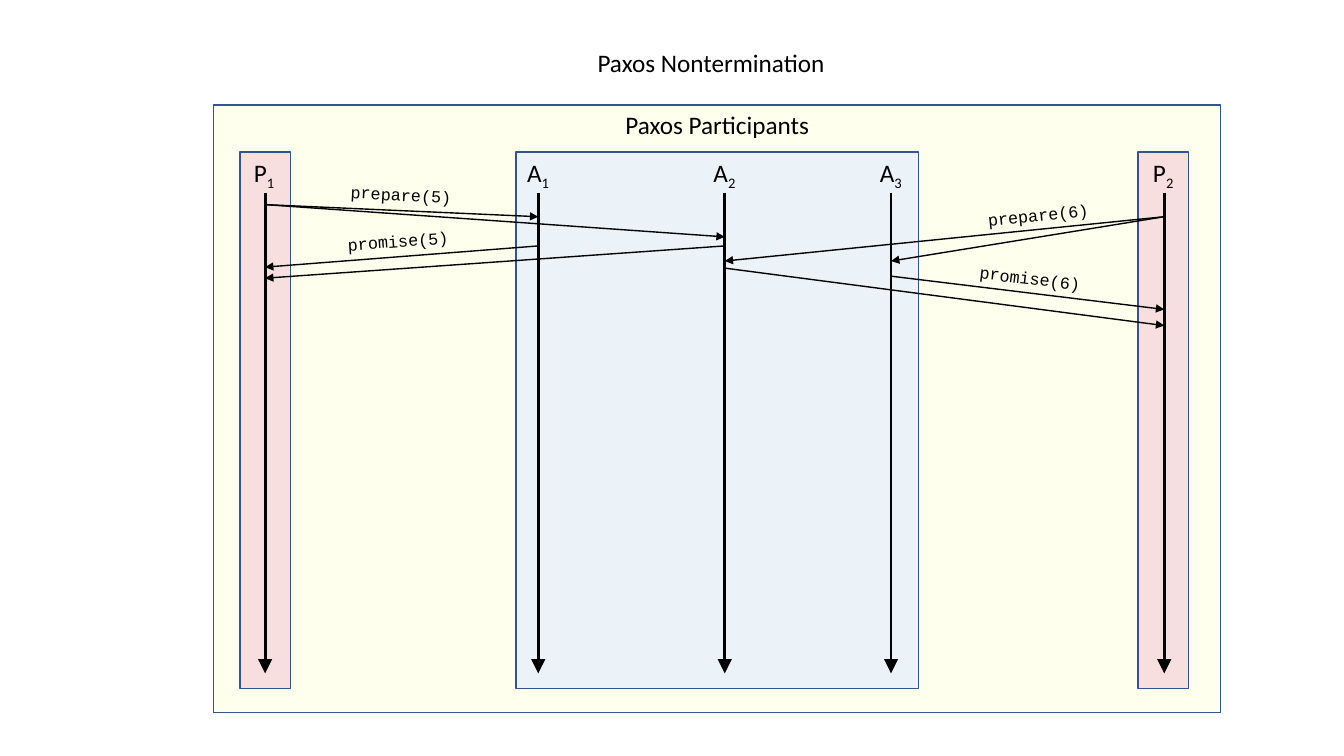
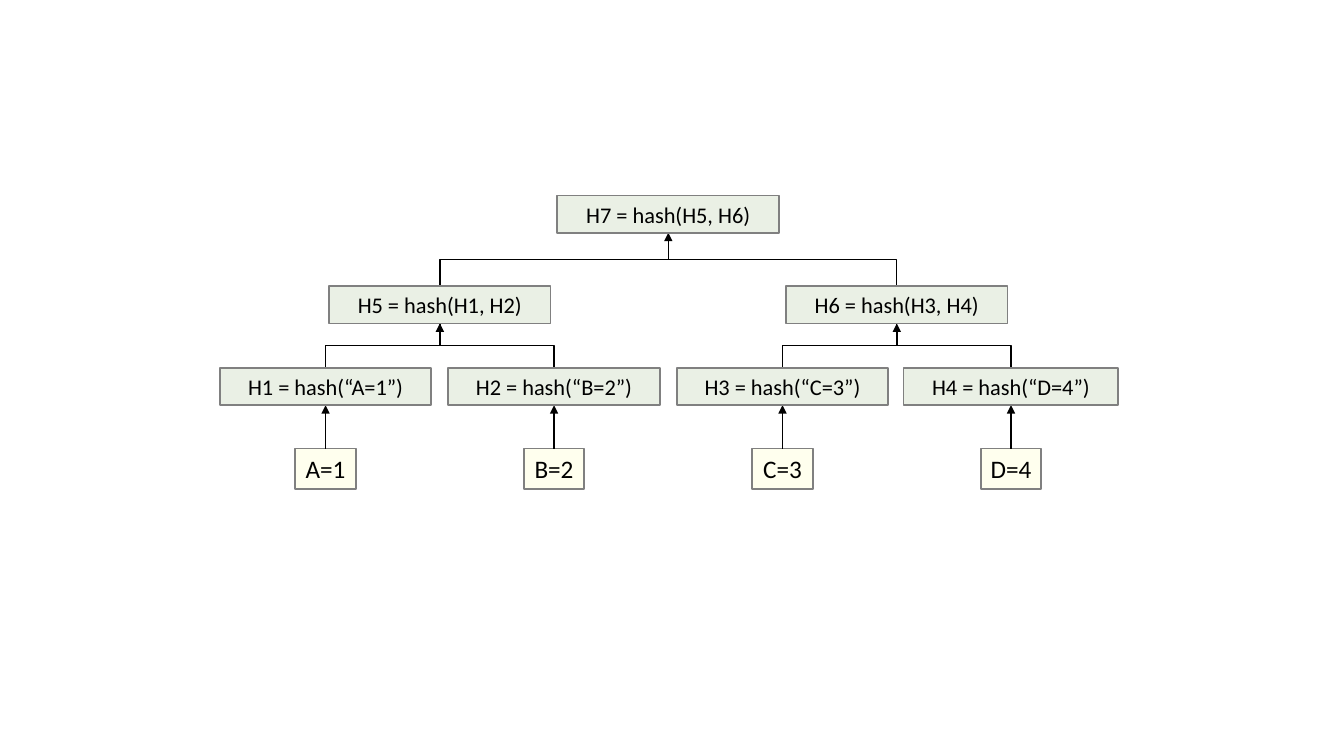
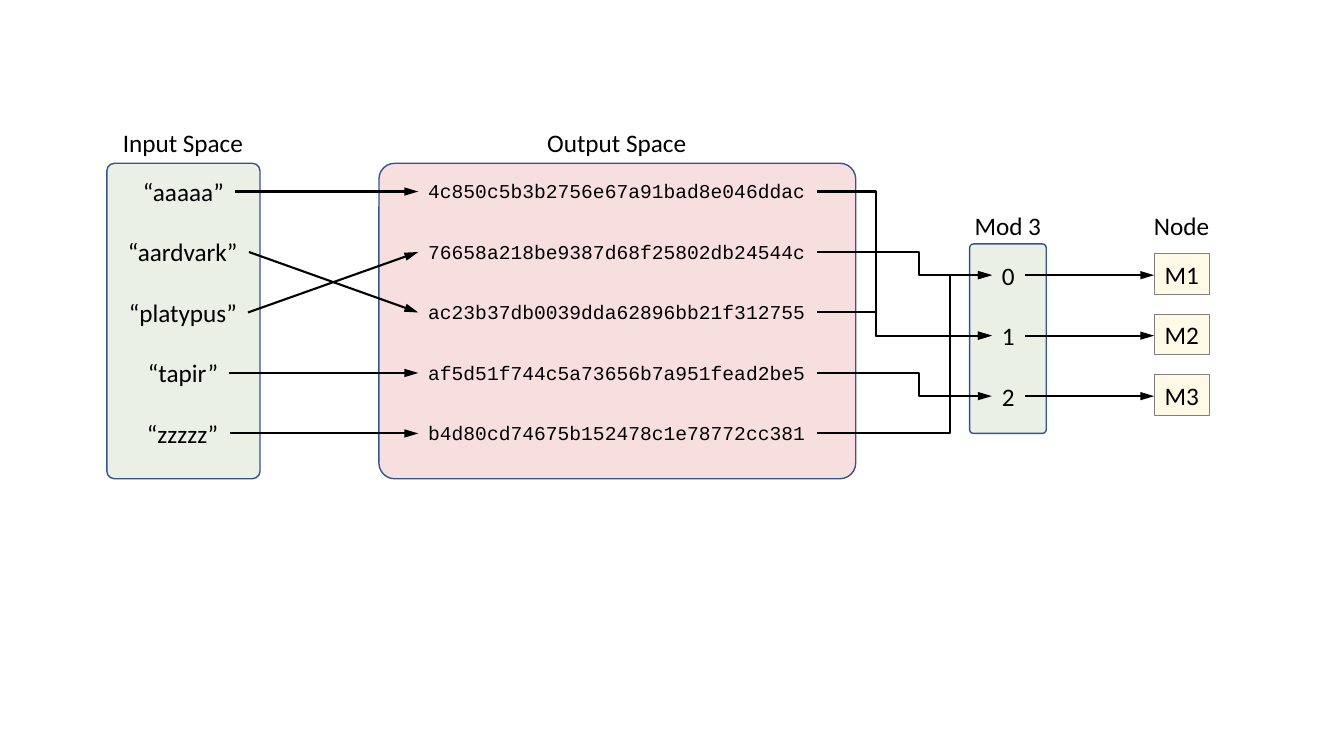
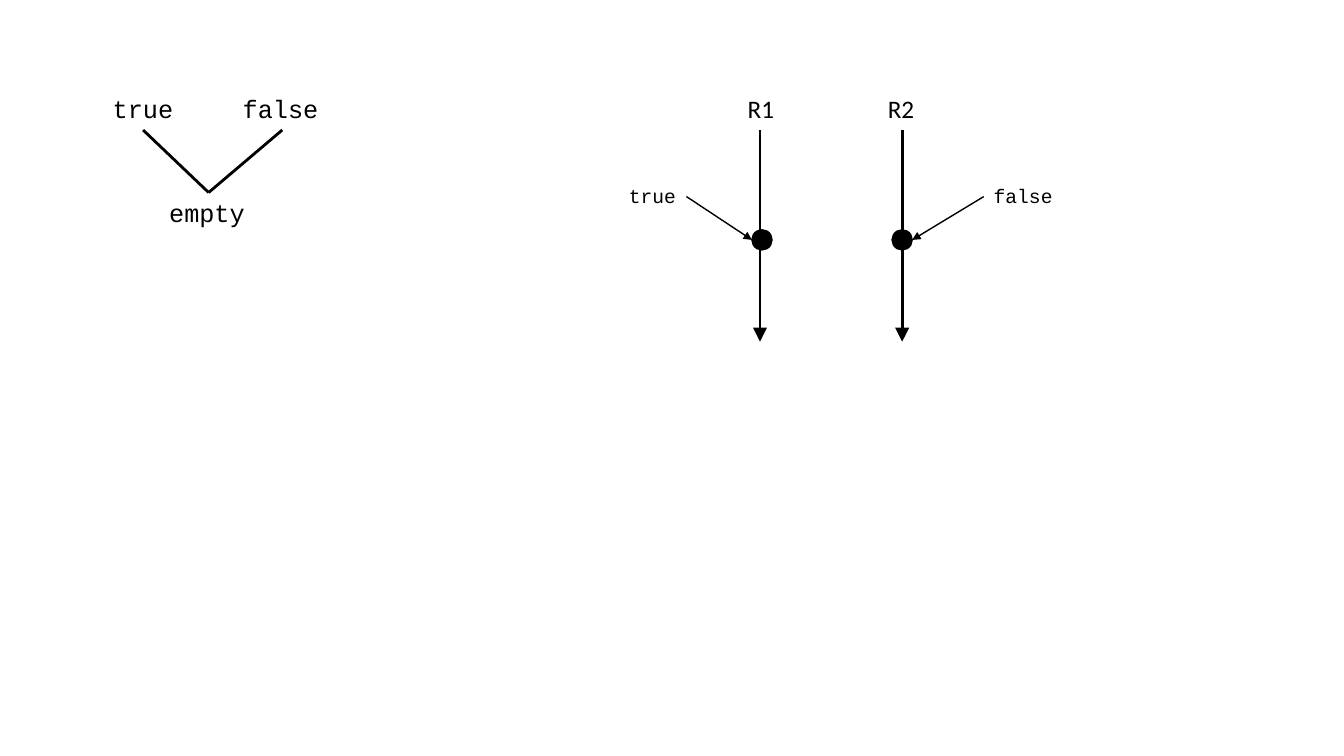
from dataclasses import dataclass

import pptx
import pptx.dml.color
import pptx.enum.dml
import pptx.enum.shapes
import pptx.enum.text
import pptx.oxml
import pptx.oxml.ns
import pptx.util

# Shared look; lengths are px, 100 to the inch
SCALE = 9144
BLACK, GRAY, BLUE = "000000", "808080", "325491"
CREAM, PINK, PALE, GREEN, SAND = "FFFFEE", "F8DFDF", "EBF2F8", "EAF0E5", "FFF9E6"
SANS, MONO = "Calibri", "Courier New"
KIND = pptx.enum.shapes.MSO_SHAPE
LINK = pptx.enum.shapes.MSO_CONNECTOR
ANCHOR = pptx.enum.text.MSO_ANCHOR
# Arrowhead width and length by line weight
TIPS = {1: ("med", "med"), 1.5: ("med", "lg"), 2: ("lg", "lg")}


@dataclass(frozen=True)
class Box:
    left: float
    top: float
    width: float
    height: float


@dataclass(frozen=True)
class Label:
    text: str
    size: int = 18
    font: str = SANS
    sub: str = ""


@dataclass(frozen=True)
class Arrow:
    x1: float
    y1: float
    x2: float
    y2: float


@dataclass(frozen=True)
class Node:
    name: str
    mid: float
    top: int
    width: int


def px(value: float) -> int:
    return round(value * SCALE)


def color(code: str) -> pptx.dml.color.RGBColor:
    return pptx.dml.color.RGBColor.from_string(code)


def place(box: Box) -> tuple:
    return px(box.left), px(box.top), px(box.width), px(box.height)


# Text
def write(frame, label: Label, center: bool = False) -> None:
    para = frame.paragraphs[0]
    if center:
        para.alignment = pptx.enum.text.PP_ALIGN.CENTER
    for text, base in ((label.text, 0), (label.sub, -25000)):
        if text:
            run = para.add_run()
            run.text = text
            run.font.size = pptx.util.Pt(label.size)
            run.font.name = label.font
            run.font.color.rgb = color(BLACK)
            if base:
                run._r.get_or_add_rPr().set("baseline", str(base))


def add_text(slide, box: Box, label: Label, turn: float = 0) -> None:
    shape = slide.shapes.add_textbox(*place(box))
    shape.rotation = turn
    frame = shape.text_frame
    frame.word_wrap = False
    frame.auto_size = pptx.enum.text.MSO_AUTO_SIZE.SHAPE_TO_FIT_TEXT
    write(frame, label)


# Shapes
def add_panel(slide, box: Box, fill: str, edge: str = BLUE, weight: float = 1,
              label: Label | None = None, kind=KIND.RECTANGLE,
              anchor=ANCHOR.MIDDLE, wrap: bool = True) -> None:
    shape = slide.shapes.add_shape(kind, *place(box))
    shape.shadow.inherit = False
    shape.fill.solid()
    shape.fill.fore_color.rgb = color(fill)
    shape.line.color.rgb = color(edge)
    shape.line.width = pptx.util.Pt(weight)
    if kind == KIND.ROUNDED_RECTANGLE:
        shape.adjustments[0] = 0.05
    if label:
        shape.text_frame.word_wrap = wrap
        shape.text_frame.vertical_anchor = anchor
        write(shape.text_frame, label, center=True)


# Lines and arrows
def add_line(slide, line: Arrow, weight: float = 1, head: bool = True,
             kind=LINK.STRAIGHT):
    ends = (px(v) for v in (line.x1, line.y1, line.x2, line.y2))
    link = slide.shapes.add_connector(kind, *ends)
    link.line.color.rgb = color(BLACK)
    link.line.width = pptx.util.Pt(weight)
    if head:
        wide, long = TIPS[weight]
        tip = pptx.oxml.parse_xml(
            f'<a:tailEnd {pptx.oxml.ns.nsdecls("a")} type="triangle" '
            f'w="{wide}" len="{long}"/>')
        link.line._get_or_add_ln().append(tip)
    link._element.spPr.append(pptx.oxml.parse_xml(
        f'<a:effectLst {pptx.oxml.ns.nsdecls("a")}/>'))
    return link


def add_bend(slide, line: Arrow, bend: int, weight: float) -> None:
    """Elbow that runs across and turns at x = bend."""
    link = add_line(slide, line, weight, kind=LINK.ELBOW)
    share = round(100000 * (bend - line.x1) / (line.x2 - line.x1))
    shape = link._element.spPr.find(pptx.oxml.ns.qn("a:prstGeom"))
    shape.get_or_add_avLst().append(pptx.oxml.parse_xml(
        f'<a:gd {pptx.oxml.ns.nsdecls("a")} name="adj1" fmla="val {share}"/>'))


def add_rise(slide, line: Arrow, head: bool) -> None:
    """Elbow that leaves upward and turns halfway."""
    sign = 1 if line.x1 < line.x2 else -1
    mid_x, mid_y = (line.x1 + line.x2) / 2, (line.y1 + line.y2) / 2
    dx, dy = sign * (line.y1 - mid_y), sign * (mid_x - line.x1)
    flat = Arrow(mid_x + dx, mid_y + dy, mid_x - dx, mid_y - dy)
    link = add_line(slide, flat, head=head, kind=LINK.ELBOW)
    turn = 90 if sign > 0 else 270
    link._element.spPr.find(pptx.oxml.ns.qn("a:xfrm")).set("rot", str(turn * 60000))


# Slide 1: message chart
def draw_paxos(slide) -> None:
    p1, a1, a2, a3, p2 = 263, 534, 719, 884, 1155
    add_text(slide, Box(583, 42, 256, 40), Label("Paxos Nontermination"))
    add_panel(slide, Box(212, 104, 999, 603), CREAM,
              label=Label("Paxos Participants"), anchor=ANCHOR.TOP)
    for left, width, fill in ((238, 50, PINK), (512, 399, PALE), (1129, 50, PINK)):
        add_panel(slide, Box(left, 151, width, 532), fill)
    actors = ((p1, "P", "1"), (a1, "A", "1"), (a2, "A", "2"),
              (a3, "A", "3"), (p2, "P", "2"))
    for x, name, sub in actors:
        add_text(slide, Box(x - 21, 151, 42, 40), Label(name, sub=sub))
        add_line(slide, Arrow(x, 191, x, 668), 2)
    for x1, y1, x2, y2 in (
            (p1, 203, a1, 215), (p1, 203, a2, 235),
            (a1, 244, p1, 265), (a2, 244, p1, 276),
            (p2, 215, a2, 259), (p2, 215, a3, 259),
            (a3, 274, p2, 307), (a2, 266, p2, 323)):
        add_line(slide, Arrow(x1, y1, x2, y2))
    for text, left, top, turn in (
            ("prepare(5)", 338, 178, 3), ("promise(5)", 335, 224, 356),
            ("prepare(6)", 970, 198, 354), ("promise(6)", 962, 261, 6.8)):
        add_text(slide, Box(left, top, 122, 30), Label(text, 12, MONO), turn)


# Slide 2: hash tree
def draw_tree(slide) -> None:
    first, step, high = 323, 680 / 3, 37
    row = []
    for i, (text, width) in enumerate(
            (("A=1", 209), ("B=2", 211), ("C=3", 210), ("D=4", 213))):
        mid = first + step * i
        add_panel(slide, Box(mid - 30, 445, 60, 40), CREAM, GRAY, 1.25,
                  Label(text), wrap=False)
        add_line(slide, Arrow(mid, 445, mid, 402))
        row.append(Node(f"H{i + 1} = hash(“{text}”)", mid, 365, width))
    nodes, count = list(row), len(row)
    for top in (284, 194):
        above = []
        for left, right in zip(row[::2], row[1::2]):
            count += 1
            pair = f"{left.name[:2]}, {right.name[:2]}"
            node = Node(f"H{count} = hash({pair})", (left.mid + right.mid) / 2, top, 220)
            for child in (left, right):
                add_rise(slide, Arrow(child.mid, child.top, node.mid, top + high),
                         head=child is left)
            above.append(node)
        nodes += above
        row = above
    for node in nodes:
        add_panel(slide, Box(node.mid - node.width / 2, node.top, node.width, high),
                  GREEN, GRAY, 1.25, Label(node.name, 16))


# Slide 3: hash to node
def draw_hash(slide) -> None:
    step, start = 60, 190
    for box, fill in ((Box(106, 162, 152, 313), GREEN),
                      (Box(376, 162, 473, 313), PINK),
                      (Box(962, 242, 76, 188), GREEN)):
        add_panel(slide, box, fill, kind=KIND.ROUNDED_RECTANGLE)
    for text, left, top, width in (
            ("Input Space", 112, 121, 141), ("Output Space", 533, 121, 160),
            ("Mod 3", 957, 204, 87), ("Node", 1135, 204, 76)):
        add_text(slide, Box(left, top, width, 40), Label(text))
    # Word, its width, and the row of its hash
    words = (("“aaaaa”", 101, 0), ("“aardvark”", 130, 2), ("“platypus”", 128, 1),
             ("“tapir”", 90, 3), ("“zzzzz”", 92, 4))
    for i, (word, width, goal) in enumerate(words):
        y, left = start + step * i, 182 - width // 2
        add_text(slide, Box(left, y - 20, width, 40), Label(word))
        add_line(slide, Arrow(left + width, y, 415, start + step * goal), 1.5)
    # Hash, its slot, and where its line turns
    sums = (("4c850c5b3b2756e67a91bad8e046ddac", 1, 869),
            ("76658a218be9387d68f25802db24544c", 0, 912),
            ("ac23b37db0039dda62896bb21f312755", 1, 869),
            ("af5d51f744c5a73656b7a951fead2be5", 2, 912),
            ("b4d80cd74675b152478c1e78772cc381", 0, 943))
    base = 273
    for i, (text, slot, bend) in enumerate(sums):
        y = start + step * i
        add_text(slide, Box(415, y - 17, 396, 34), Label(text, 14, MONO))
        add_bend(slide, Arrow(811, y, 984, base + step * slot), bend, 1.5)
    for i in range(3):
        y = base + step * i
        add_text(slide, Box(984, y - 20, 33, 40), Label(str(i)))
        add_panel(slide, Box(1145, y - 21, 55, 40), SAND, GRAY, 0.75,
                  Label(f"M{i + 1}"), wrap=False)
        add_line(slide, Arrow(1017, y, 1145, y), 1.5)


# Slide 4: lattice and two replicas
def draw_merge(slide) -> None:
    for text, left, top, width in (("true", 102, 88, 81), ("false", 231, 88, 96),
                                   ("empty", 158, 191, 96)):
        add_text(slide, Box(left, top, width, 40), Label(text, font=MONO))
    for x in (142, 280):
        add_line(slide, Arrow(x, 129, 207, 191), 2, head=False)
    for name, left, x, dot in (("R1", 732, 754, 746), ("R2", 871, 895, 885)):
        add_text(slide, Box(left, 88, 47, 40), Label(name))
        add_line(slide, Arrow(x, 129, x, 339), 2)
        add_panel(slide, Box(dot, 228, 20, 20), BLACK, BLACK, kind=KIND.OVAL)
    for text, left, width, x1, x2 in (("true", 614, 67, 681, 746),
                                      ("false", 976, 79, 976, 905)):
        add_text(slide, Box(left, 178, width, 34), Label(text, 14, MONO))
        add_line(slide, Arrow(x1, 195, x2, 238))


def main() -> None:
    deck = pptx.Presentation()
    deck.slide_width, deck.slide_height = px(4000 / 3), px(750)
    for draw in (draw_paxos, draw_tree, draw_hash, draw_merge):
        draw(deck.slides.add_slide(deck.slide_layouts[6]))
    deck.save("out.pptx")


if __name__ == "__main__":
    main()
